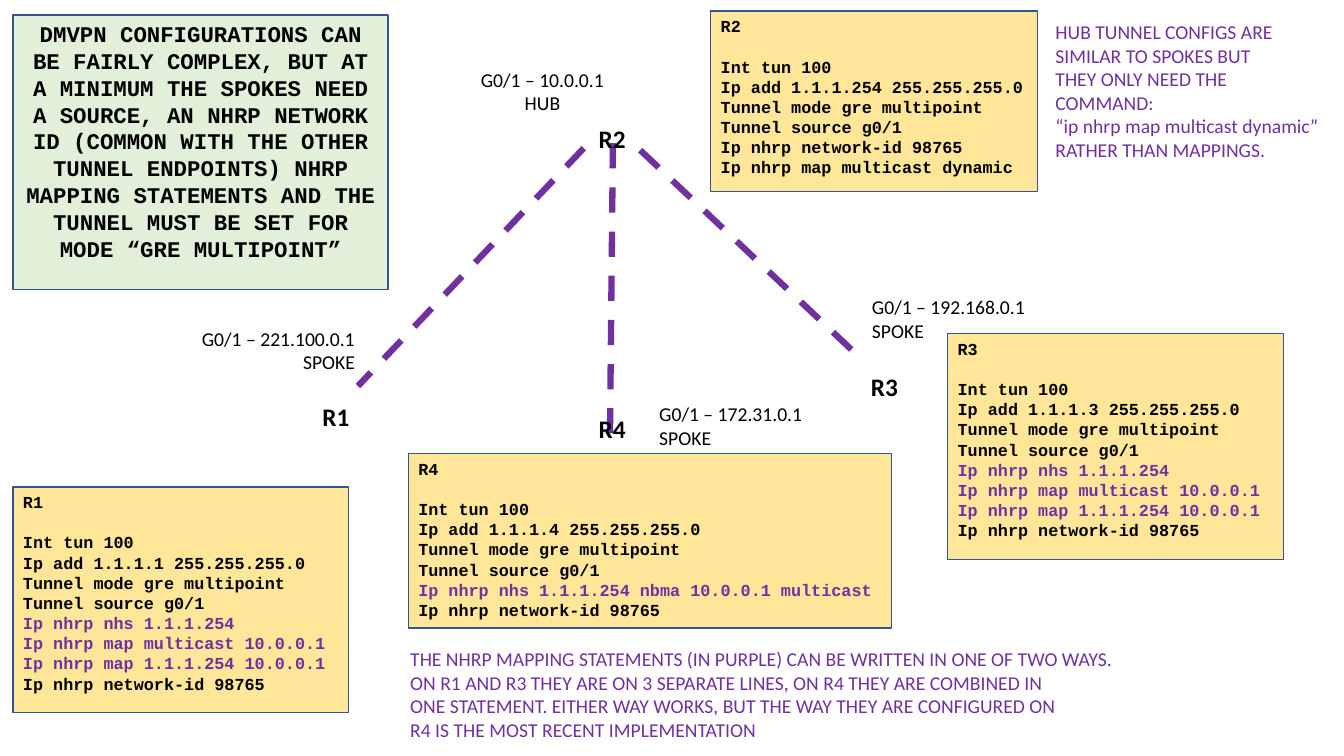
from dataclasses import dataclass

from lxml import etree
from pptx import Presentation
from pptx.dml.color import RGBColor
from pptx.enum.dml import MSO_LINE
from pptx.enum.shapes import MSO_CONNECTOR, MSO_SHAPE
from pptx.enum.text import MSO_ANCHOR, MSO_AUTO_SIZE, PP_ALIGN
from pptx.oxml.ns import qn
from pptx.util import Inches, Pt

LEFT, CENTER, RIGHT = PP_ALIGN.LEFT, PP_ALIGN.CENTER, PP_ALIGN.RIGHT
TOP, GROW = MSO_ANCHOR.TOP, MSO_AUTO_SIZE.SHAPE_TO_FIT_TEXT
RECT, STRAIGHT, DASH = MSO_SHAPE.RECTANGLE, MSO_CONNECTOR.STRAIGHT, MSO_LINE.DASH


@dataclass(frozen=True)
class Theme:
    """Colours, fonts and sizes of the slide."""
    black: str = "000000"
    purple: str = "7030A0"
    green: str = "E2F0D9"
    yellow: str = "FFE699"
    border: str = "325491"
    sans: str = "Calibri"
    mono: str = "Courier New"
    code: int = 12
    body: int = 14
    summary: int = 16
    router: int = 18
    tunnel: float = 4.5
    code_gap: float = 14.4


THEME = Theme()

SUMMARY = (
    "DMVPN CONFIGURATIONS CAN BE FAIRLY COMPLEX, BUT AT A MINIMUM THE SPOKES NEED "
    "A SOURCE, AN NHRP NETWORK ID (COMMON WITH THE OTHER TUNNEL ENDPOINTS) NHRP "
    "MAPPING STATEMENTS AND THE TUNNEL MUST BE SET FOR MODE “GRE MULTIPOINT”"
)
MAPPING_NOTE = (
    "THE NHRP MAPPING STATEMENTS (IN PURPLE) CAN BE WRITTEN IN ONE OF TWO WAYS.",
    "ON R1 AND R3 THEY ARE ON 3 SEPARATE LINES, ON R4 THEY ARE COMBINED IN",
    "ONE STATEMENT. EITHER WAY WORKS, BUT THE WAY THEY ARE CONFIGURED ON",
    "R4 IS THE MOST RECENT IMPLEMENTATION",
)
HUB_NOTE = (
    "HUB TUNNEL CONFIGS ARE",
    "SIMILAR TO SPOKES BUT",
    "THEY ONLY NEED THE",
    "COMMAND:",
    "“ip nhrp map multicast dynamic”",
    "RATHER THAN MAPPINGS.",
)
SEPARATE_MAPPING = (
    "Ip nhrp nhs 1.1.1.254",
    "Ip nhrp map multicast 10.0.0.1",
    "Ip nhrp map 1.1.1.254 10.0.0.1",
)
COMBINED_MAPPING = ("Ip nhrp nhs 1.1.1.254 nbma 10.0.0.1 multicast",)
NETWORK_ID = "Ip nhrp network-id 98765"
HUB_MULTICAST = "Ip nhrp map multicast dynamic"

TUNNELS = (
    ((6.35, 1.49), (8.51, 3.53)),
    ((5.79, 1.47), (3.55, 3.83)),
    ((6.05, 4.3), (6.08, 1.3)),
)
ROUTERS = (
    ("R3", (8.54, 3.63), "G0/1 – 192.168.0.1", "SPOKE", (8.55, 2.88, 2.71, 0.57), LEFT),
    ("R2", (5.84, 1.17), "G0/1 – 10.0.0.1", "HUB", (3.97, 0.62, 2.82, 0.57), CENTER),
    ("R4", (5.84, 4.05), "G0/1 – 172.31.0.1", "SPOKE", (6.44, 3.94, 2.54, 0.57), LEFT),
    ("R1", (3.1, 3.93), "G0/1 – 221.100.0.1", "SPOKE", (1.08, 3.19, 2.54, 0.57), RIGHT),
)
CONFIGS = (
    ("R1", "1.1.1.1", SEPARATE_MAPPING, (NETWORK_ID,), (0.13, 4.83, 3.33, 2.24)),
    ("R4", "1.1.1.4", COMBINED_MAPPING, (NETWORK_ID,), (4.05, 4.5, 4.79, 1.73)),
    ("R2", "1.1.1.254", (), (NETWORK_ID, HUB_MULTICAST), (7.05, 0.11, 3.24, 1.79)),
    ("R3", "1.1.1.3", SEPARATE_MAPPING, (NETWORK_ID,), (9.4, 3.31, 3.33, 2.24)),
)


def set_format(target, values):
    """Set each named attribute of the target."""
    for name, value in values.items():
        setattr(target, name, value)


def write_lines(tf, lines, size, font=THEME.sans, bold=False, align=LEFT):
    """Write (text, colour) pairs as paragraphs of a text frame."""
    for i, (text, color) in enumerate(lines):
        p = tf.paragraphs[0] if i == 0 else tf.add_paragraph()
        p.alignment = align
        r = p.add_run()
        r.text = text
        set_format(r.font, {"name": font, "size": Pt(size), "bold": bold})
        r.font.color.rgb = RGBColor.from_string(color)


def add_text(slide, box, lines, size, color=THEME.black, wrap=True, **style):
    """Add a one-colour text box that grows with its text."""
    tf = slide.shapes.add_textbox(*map(Inches, box)).text_frame
    set_format(tf, {"word_wrap": wrap, "auto_size": GROW})
    write_lines(tf, [(line, color) for line in lines], size, **style)


def add_panel(slide, box, fill, lines, size, align=LEFT):
    """Add a bordered panel of bold code type and return its text frame."""
    sp = slide.shapes.add_shape(RECT, *map(Inches, box))
    sp.shadow.inherit = False
    sp.fill.solid()
    sp.fill.fore_color.rgb = RGBColor.from_string(fill)
    sp.line.color.rgb = RGBColor.from_string(THEME.border)
    sp.line.width = Pt(1)
    tf = sp.text_frame
    set_format(tf, {"word_wrap": True, "vertical_anchor": TOP})
    write_lines(tf, lines, size, THEME.mono, True, align)
    return tf


def add_tunnel(slide, start, end):
    """Draw a dashed tunnel between two points."""
    line = slide.shapes.add_connector(STRAIGHT, *map(Inches, start + end))
    line.line.color.rgb = RGBColor.from_string(THEME.purple)
    set_format(line.line, {"width": Pt(THEME.tunnel), "dash_style": DASH})
    etree.SubElement(line._element.spPr, qn("a:effectLst"))


def add_router(slide, name, corner, interface, role, box, align):
    """Label a router with its name, interface and role."""
    add_text(slide, box, (interface, role), THEME.body, align=align)
    add_text(slide, corner + (0.47, 0.4), (name,), THEME.router, wrap=False, bold=True)


def add_config(slide, name, address, mapping, closing, box):
    """Show a router's tunnel configuration with its mapping in purple."""
    opening = (
        name,
        "Int tun 100",
        f"Ip add {address} 255.255.255.0",
        "Tunnel mode gre multipoint",
        "Tunnel source g0/1",
    )
    parts = ((opening, THEME.black), (mapping, THEME.purple), (closing, THEME.black))
    lines = [(text, color) for part, color in parts for text in part]
    tf = add_panel(slide, box, THEME.yellow, lines, THEME.code)
    tf.paragraphs[1].space_before = Pt(THEME.code_gap)


def build_slide(prs):
    """Build the DMVPN topology slide."""
    slide = prs.slides.add_slide(prs.slide_layouts[6])
    for tunnel in TUNNELS:
        add_tunnel(slide, *tunnel)
    add_panel(slide, (0.13, 0.15, 3.72, 2.72), THEME.green,
              [(SUMMARY, THEME.black)], THEME.summary, CENTER)
    for router in ROUTERS:
        add_router(slide, *router)
    for config in CONFIGS:
        add_config(slide, *config)
    add_text(slide, (3.97, 6.37, 7.38, 1.04), MAPPING_NOTE, THEME.body, THEME.purple)
    add_text(slide, (10.37, 0.15, 2.96, 1.51), HUB_NOTE, THEME.body, THEME.purple)


def main():
    """Create and save the presentation."""
    prs = Presentation()
    set_format(prs, {"slide_width": Inches(13.33), "slide_height": Inches(7.5)})
    build_slide(prs)
    prs.save("out.pptx")


if __name__ == "__main__":
    main()
